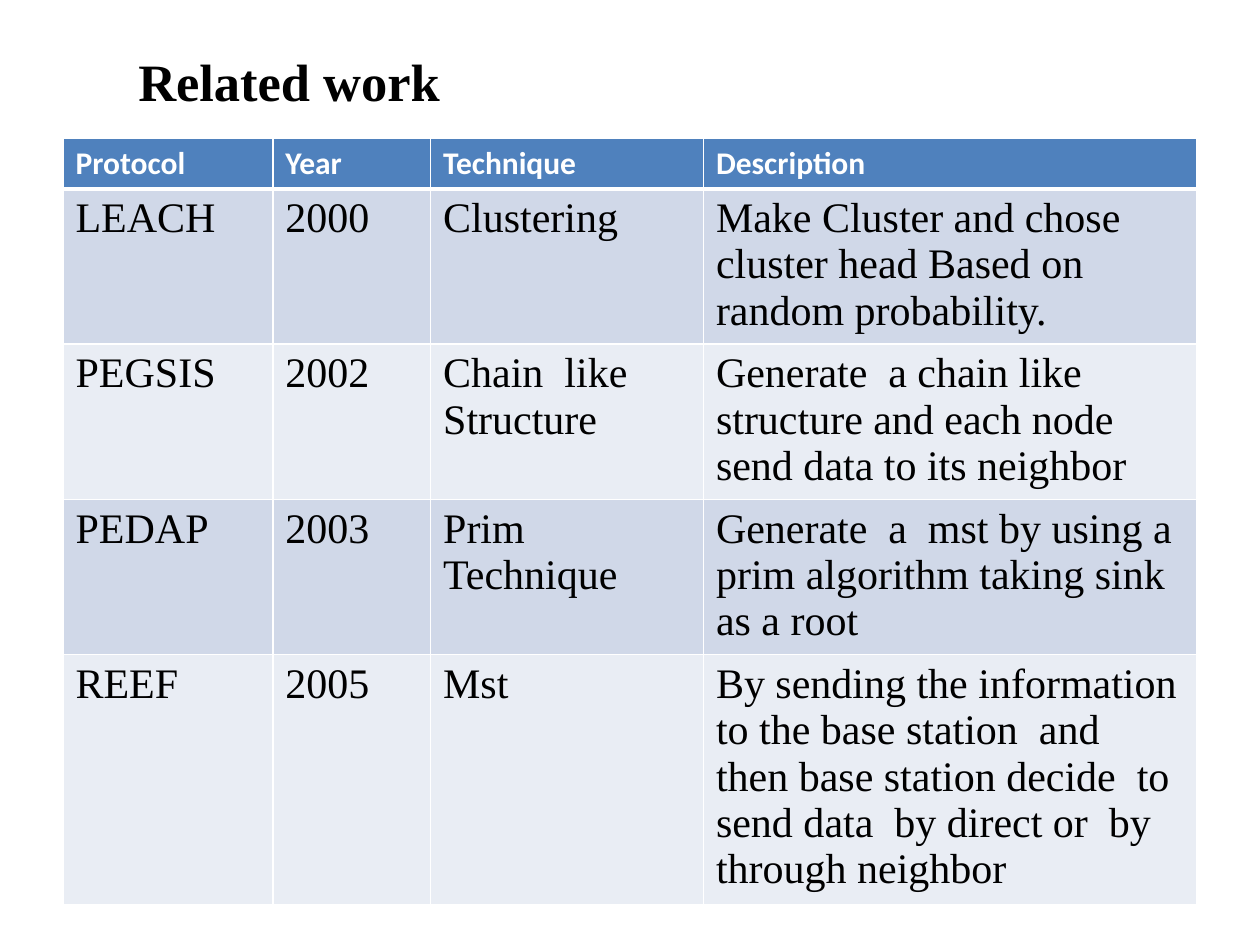
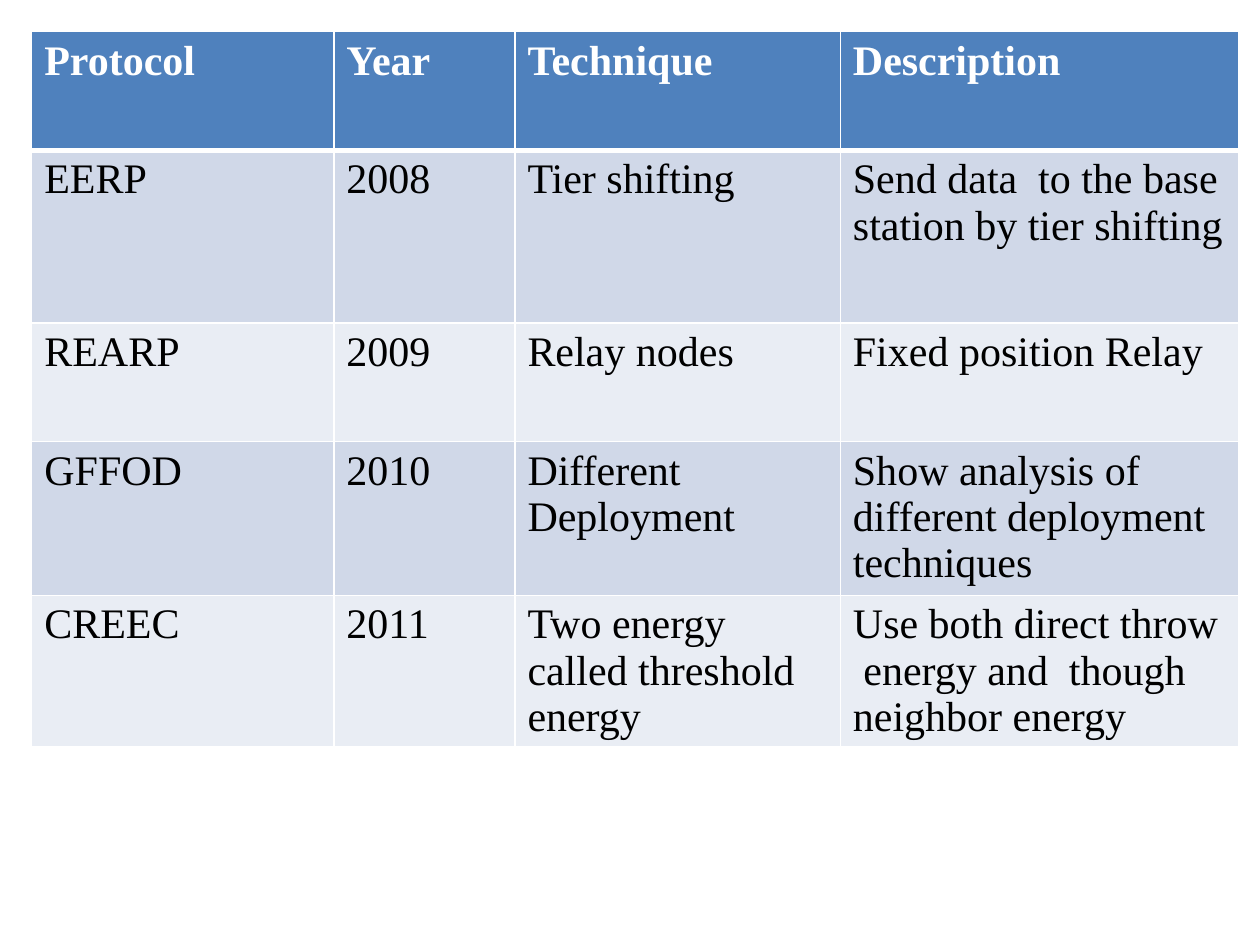
from dataclasses import dataclass
from pptx import Presentation
from pptx.dml.color import RGBColor
from pptx.enum.text import MSO_ANCHOR, PP_ALIGN
from pptx.oxml import parse_xml
from pptx.oxml.ns import nsdecls
from pptx.util import Cm, Pt


@dataclass(frozen=True)
class Theme:
    header: str = "4F81BD"
    bands: tuple = ("D0D8E8", "E9EDF4")
    white: str = "FFFFFF"
    black: str = "000000"
    serif: str = "Times New Roman"
    sans: str = "Calibri"
    title_size: int = 30
    body_size: int = 24
    body_leading: float = 26.5
    small_size: int = 18
    line: int = 1
    header_line: int = 3


THEME = Theme()
TITLE = dict(name=THEME.serif, size=Pt(THEME.title_size), bold=True, color=THEME.black)
BODY = dict(name=THEME.serif, size=Pt(THEME.body_size), bold=False, color=THEME.black)
HEADER = dict(BODY, bold=True, color=THEME.white)
SMALL_HEADER = dict(HEADER, name=THEME.sans, size=Pt(THEME.small_size))

COLUMNS = ("Protocol", "Year", "Technique", "Description")
EARLY_PROTOCOLS = [
    ("LEACH", "2000", "Clustering",
     "Make Cluster and chose  cluster head Based on random probability."),
    ("PEGSIS", "2002", "Chain  like Structure",
     "Generate  a chain like structure and each node send data to its neighbor"),
    ("PEDAP", "2003", "Prim Technique",
     "Generate  a  mst by using a prim algorithm taking sink as a root"),
    ("REEF", "2005", "Mst",
     "By sending the information to the base station  and  then base station decide"
     "  to send data  by direct or  by\nthrough neighbor"),
]
LATER_PROTOCOLS = [
    ("EERP", "2008", "Tier shifting", "Send data  to the base station by tier shifting"),
    ("REARP", "2009", "Relay nodes", "Fixed position Relay"),
    ("GFFOD", "2010", "Different Deployment",
     "Show analysis of different deployment techniques"),
    ("CREEC", "2011", "Two energy  called threshold energy",
     "Use both direct throw  energy and  though neighbor energy"),
]


def write(tf, text, style, leading=None):
    tf.text = text
    for p in tf.paragraphs:
        if leading:
            p.line_spacing = Pt(leading)
        for r in p.runs:
            for key, value in style.items():
                if key == "color":
                    r.font.color.rgb = RGBColor.from_string(value)
                else:
                    setattr(r.font, key, value)


def add_title(s, text, left, top, width, height):
    tf = s.shapes.add_textbox(Cm(left), Cm(top), Cm(width), Cm(height)).text_frame
    tf.word_wrap = True
    tf.vertical_anchor = MSO_ANCHOR.MIDDLE
    write(tf, text, TITLE)
    tf.paragraphs[0].alignment = PP_ALIGN.CENTER


def add_borders(cell, above, below):
    tcPr = cell._tc.get_or_add_tcPr()
    for side, weight in zip("LRTB", (THEME.line, THEME.line, above, below)):
        tcPr.append(parse_xml(
            f'<a:ln{side} {nsdecls("a")} w="{Pt(weight)}"><a:solidFill>'
            f'<a:srgbClr val="{THEME.white}"/></a:solidFill></a:ln{side}>'))


def add_protocol_table(s, records, left, top, widths, heights, header_style):
    rows = [COLUMNS, *records]
    table = s.shapes.add_table(len(rows), len(COLUMNS), Cm(left), Cm(top),
                               Cm(sum(widths)), Cm(sum(heights))).table
    for column, width in zip(table.columns, widths):
        column.width = Cm(width)
    for i, (row, height, texts) in enumerate(zip(table.rows, heights, rows)):
        row.height = Cm(height)
        fill = THEME.bands[(i - 1) % 2] if i else THEME.header
        above = THEME.header_line if i == 1 else THEME.line
        below = THEME.line if i else THEME.header_line
        style, leading = (BODY, THEME.body_leading) if i else (header_style, None)
        for cell, text in zip(row.cells, texts):
            add_borders(cell, above, below)
            cell.fill.solid()
            cell.fill.fore_color.rgb = RGBColor.from_string(fill)
            write(cell.text_frame, text, style, leading)


def main():
    prs = Presentation()
    prs.slide_width, prs.slide_height = Cm(25.4), Cm(19.05)
    blank = prs.slide_layouts[6]

    s = prs.slides.add_slide(blank)
    add_title(s, "Related work", 0.43, 0.64, 10.8, 1.98)
    add_protocol_table(s, EARLY_PROTOCOLS, 1.27, 2.79, (4.23, 3.18, 5.5, 9.95),
                       (0.99, 3.13, 3.13, 3.13, 5.05), SMALL_HEADER)

    s = prs.slides.add_slide(blank)
    add_protocol_table(s, LATER_PROTOCOLS, 0.64, 0.64, (6.09, 3.65, 6.56, 8.04),
                       (2.39, 3.48, 2.39, 3.1, 3.02), HEADER)

    prs.save("out.pptx")


if __name__ == "__main__":
    main()
